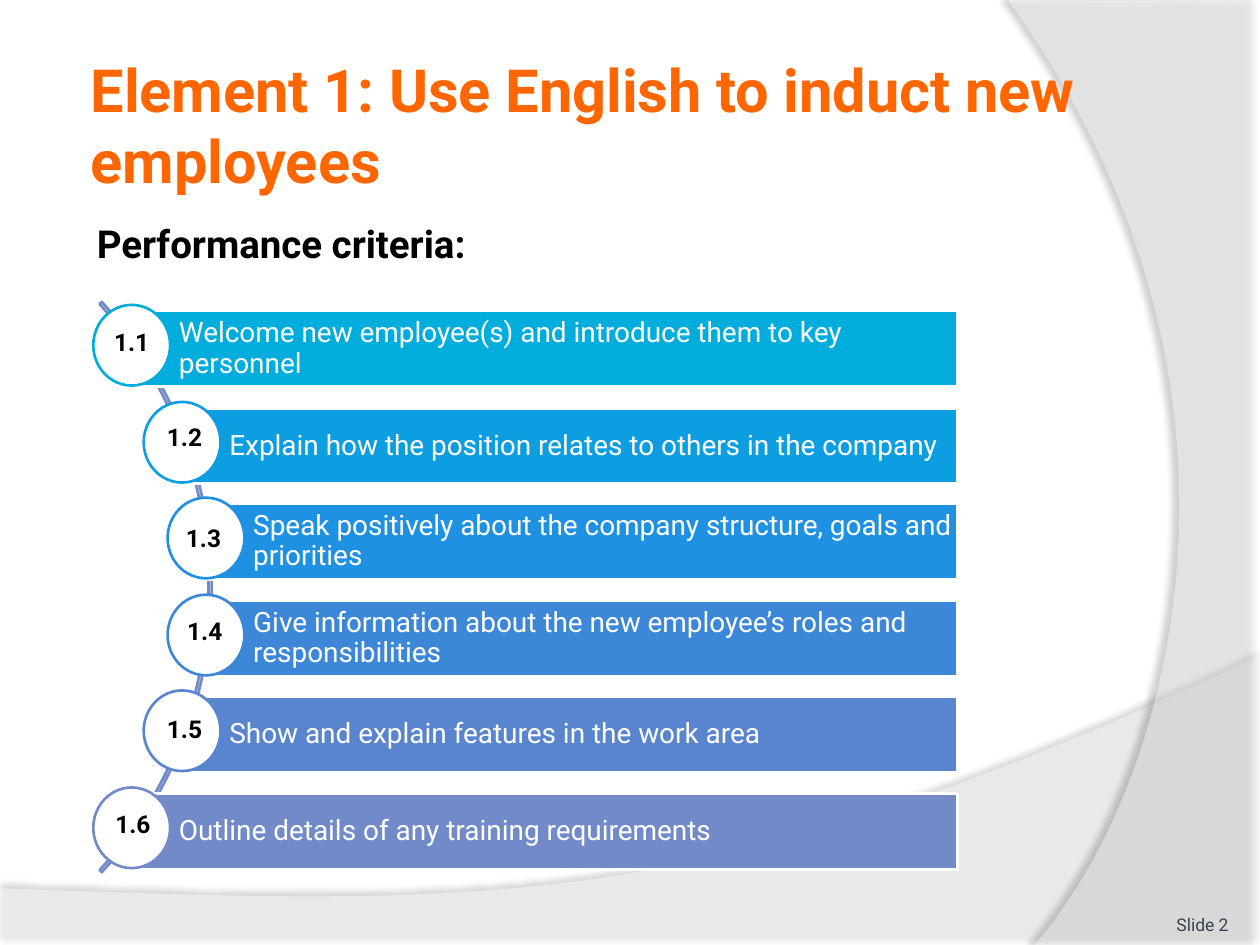
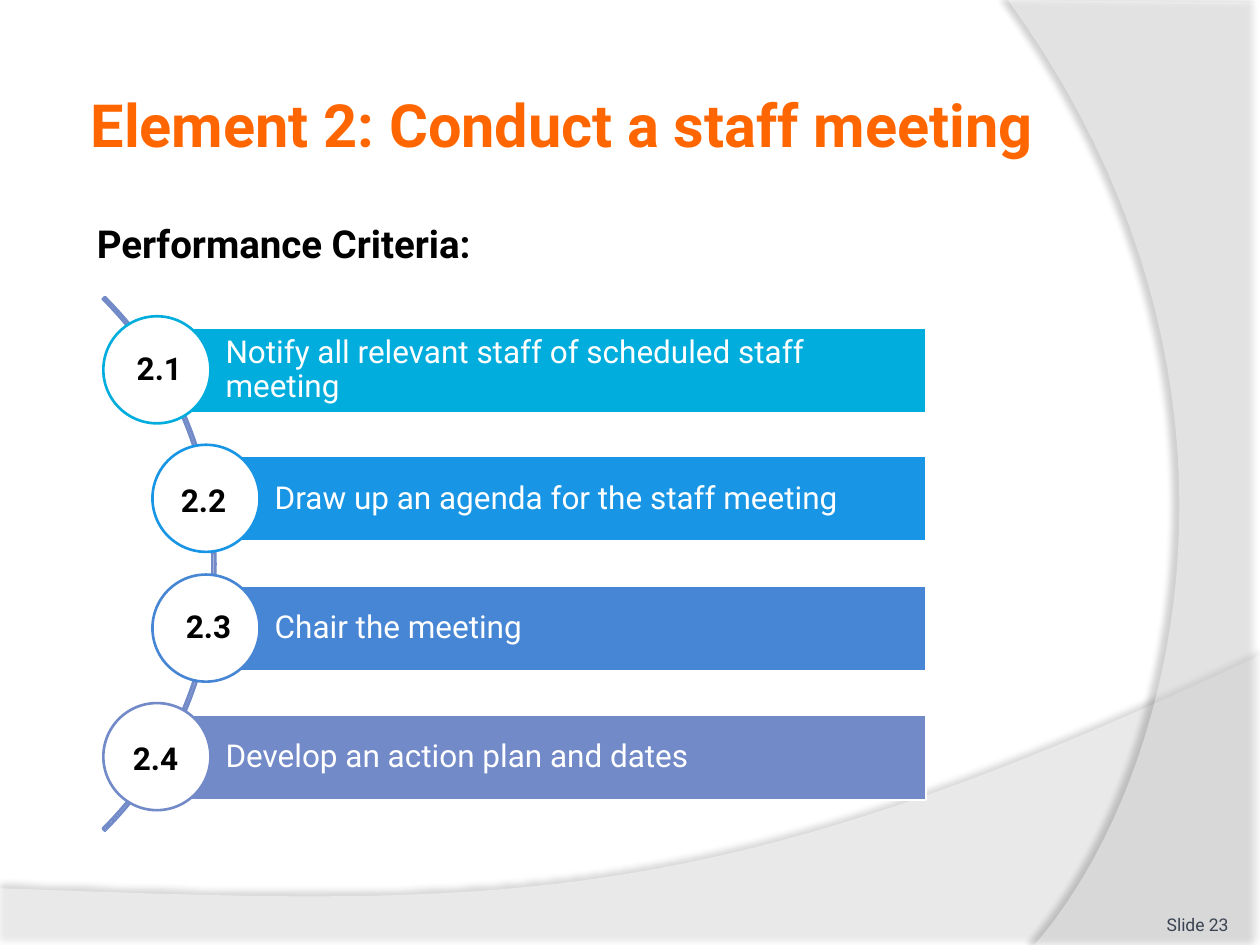
"""Build two slides of performance criteria, each a list of numbered bars along an arc."""
from lxml.etree import SubElement
from pptx import Presentation
from pptx.dml.color import RGBColor
from pptx.enum.shapes import MSO_SHAPE
from pptx.enum.text import MSO_ANCHOR, PP_ALIGN
from pptx.oxml.ns import qn
from pptx.util import Pt

PX = 9144
FONT = "Roboto"
WHITE, BLACK, ORANGE, SLATE, ARC = "FFFFFF", "000000", "FF6600", "3A4352", "738AC8"


def rgb(color):
    return RGBColor.from_string(color)


def write(sp, text, size, color, bold=False, align=PP_ALIGN.LEFT,
          anchor=MSO_ANCHOR.TOP, insets=(10, 5, 10, 5), spacing=None):
    tf = sp.text_frame
    tf.word_wrap = True
    tf.vertical_anchor = anchor
    tf.margin_left, tf.margin_top, tf.margin_right, tf.margin_bottom = [v * PX for v in insets]
    p = tf.paragraphs[0]
    p.alignment = align
    p.line_spacing = spacing
    r = p.add_run()
    r.text = text
    r.font.name, r.font.size, r.font.bold = FONT, Pt(size), bold
    r.font.color.rgb = rgb(color)


SLIDES = [
    dict(title="Element 1: Use English to induct new employees",
         heading="Performance criteria:", footer="Slide 2", arc=(-459, 139, 627, 654),
         top=247, pitch=76.6, right=760, height=60, size=16, insets=(37, 4, 4, 4),
         circle=(-31, -5, 61, 64), label=(51, 34), label_size=14,
         items=[
             (105, "00ADDC", "1.1", 79, 255, "Welcome new employee(s) and introduce them to key personnel"),
             (145, "0D9EE2", "1.2", 121, 330, "Explain how the position relates to others in the company"),
             (164, "1F91E3", "1.3", 136, 410, "Speak positively about the company structure, goals and priorities"),
             (164, "3D87D8", "1.4", 137, 484, "Give information about the new employee’s roles and responsibilities"),
             (145, "5985CF", "1.5", 121, 562, "Show and explain features in the work area"),
             (105, "738AC8", "1.6", 80, 637, "Outline details of any training requirements"),
         ]),
    dict(title="Element 2: Conduct a staff meeting",
         heading="Performance Criteria:", footer="Slide 23", arc=(-428, 148, 599, 599),
         top=260, pitch=102.4, right=735, height=68, size=18, insets=(54, 5, 5, 5),
         circle=(-43, -9, 85, 85), label=(71, 40), label_size=18,
         items=[
             (125, "00ADDC", "2.1", 91, 272, "Notify all relevant staff of scheduled staff meeting"),
             (164, "1895E4", "2.2", 126, 377, "Draw up an agenda for the staff meeting"),
             (164, "4786D4", "2.3", 130, 477, "Chair the meeting"),
             (125, "738AC8", "2.4", 88, 582, "Develop an action plan and dates"),
         ]),
]

SWOOSHES = [
    ([(0, 705), (0, 751), (1000, 751)],
     [(1000, 520), (559, 729), (391, 719), (0, 705)], 45, 35, 3.5, 270),
    ([(1000, 2), (1000, 750)],
     [(821, 750), (935, 619), (1018, 300), (800, 0)], 40, 45, 4, 180),
]

prs = Presentation()
prs.slide_width, prs.slide_height = 1000 * PX, 750 * PX
layout = prs.slide_layouts[5]
slides = [prs.slides.add_slide(layout) for _ in SLIDES]

for n, (corners, bezier, opacity, shade, distance, angle) in enumerate(SWOOSHES):
    points = list(corners)
    for step in range(41):
        t = step / 40
        weights = ((1 - t) ** 3, 3 * t * (1 - t) ** 2, 3 * t * t * (1 - t), t ** 3)
        points.append(tuple(sum(w * pt[axis] for w, pt in zip(weights, bezier)) for axis in (0, 1)))
    points = [(round(x * PX), round(y * PX)) for x, y in points]
    builder = slides[0].shapes.build_freeform(*points[0])
    builder.add_line_segments(points[1:], close=True)
    sp = builder.convert_to_shape()
    sp.name = f"Swoosh {n + 1}"
    sp.shadow.inherit = False
    sp.line.fill.background()
    sp.fill.solid()
    sp.fill.fore_color.rgb = rgb(WHITE)
    spPr = sp.element.spPr
    fill = spPr.find(qn("a:solidFill")).find(qn("a:srgbClr"))
    SubElement(fill, qn("a:alpha"), val=str(opacity * 1000))
    shadow = SubElement(spPr.find(qn("a:effectLst")), qn("a:outerShdw"), blurRad=str(Pt(4)),
                        dist=str(Pt(distance)), dir=str(angle * 60000), algn="ctr", rotWithShape="0")
    tint = SubElement(shadow, qn("a:srgbClr"), val=BLACK)
    SubElement(tint, qn("a:alpha"), val=str(shade * 1000))
    sp.element.nvSpPr.cNvPr.set("id", str(20 + n))
    layout.shapes.element.insert(2 + n, sp.element)

for s, d in zip(slides, SLIDES):
    title = s.shapes.title
    title.left, title.top, title.width, title.height = [v * PX for v in (67, 36, 817, 125)]
    write(title, d["title"], 34, ORANGE, bold=True, anchor=MSO_ANCHOR.MIDDLE, insets=(5, 5, 5, 5))

    heading = s.shapes.add_textbox(67 * PX, 170 * PX, 817 * PX, 50 * PX)
    write(heading, d["heading"], 22, BLACK, bold=True)
    footer = s.shapes.add_textbox(892 * PX, 702 * PX, 83 * PX, 40 * PX)
    write(footer, d["footer"], 10, SLATE, align=PP_ALIGN.RIGHT,
          anchor=MSO_ANCHOR.BOTTOM, insets=(0, 0, 0, 0))

    arc = s.shapes.add_shape(MSO_SHAPE.BLOCK_ARC, *[v * PX for v in d["arc"]])
    for i, value in enumerate((189, 27, 0.004)):
        arc.adjustments[i] = value
    arc.shadow.inherit = False
    arc.fill.background()
    arc.line.color.rgb = rgb(ARC)
    arc.line.width = Pt(1.5)

    dx, dy, circle_w, circle_h = d["circle"]
    for i, (left, color, number, label_x, label_y, text) in enumerate(d["items"]):
        top = round(d["top"] + i * d["pitch"])
        bar = s.shapes.add_shape(MSO_SHAPE.RECTANGLE, left * PX, top * PX,
                                 (d["right"] - left) * PX, d["height"] * PX)
        circle = s.shapes.add_shape(MSO_SHAPE.OVAL, (left + dx) * PX, (top + dy) * PX,
                                    circle_w * PX, circle_h * PX)
        for sp, fill, line in ((bar, color, WHITE), (circle, WHITE, color)):
            sp.shadow.inherit = False
            sp.fill.solid()
            sp.fill.fore_color.rgb = rgb(fill)
            sp.line.color.rgb = rgb(line)
            sp.line.width = Pt(1.5)
        write(bar, text, d["size"], WHITE, anchor=MSO_ANCHOR.MIDDLE,
              insets=d["insets"], spacing=0.9)
        label = s.shapes.add_textbox(label_x * PX, label_y * PX, *[v * PX for v in d["label"]])
        write(label, number, d["label_size"], BLACK, bold=True, align=PP_ALIGN.CENTER)

prs.save("out.pptx")
